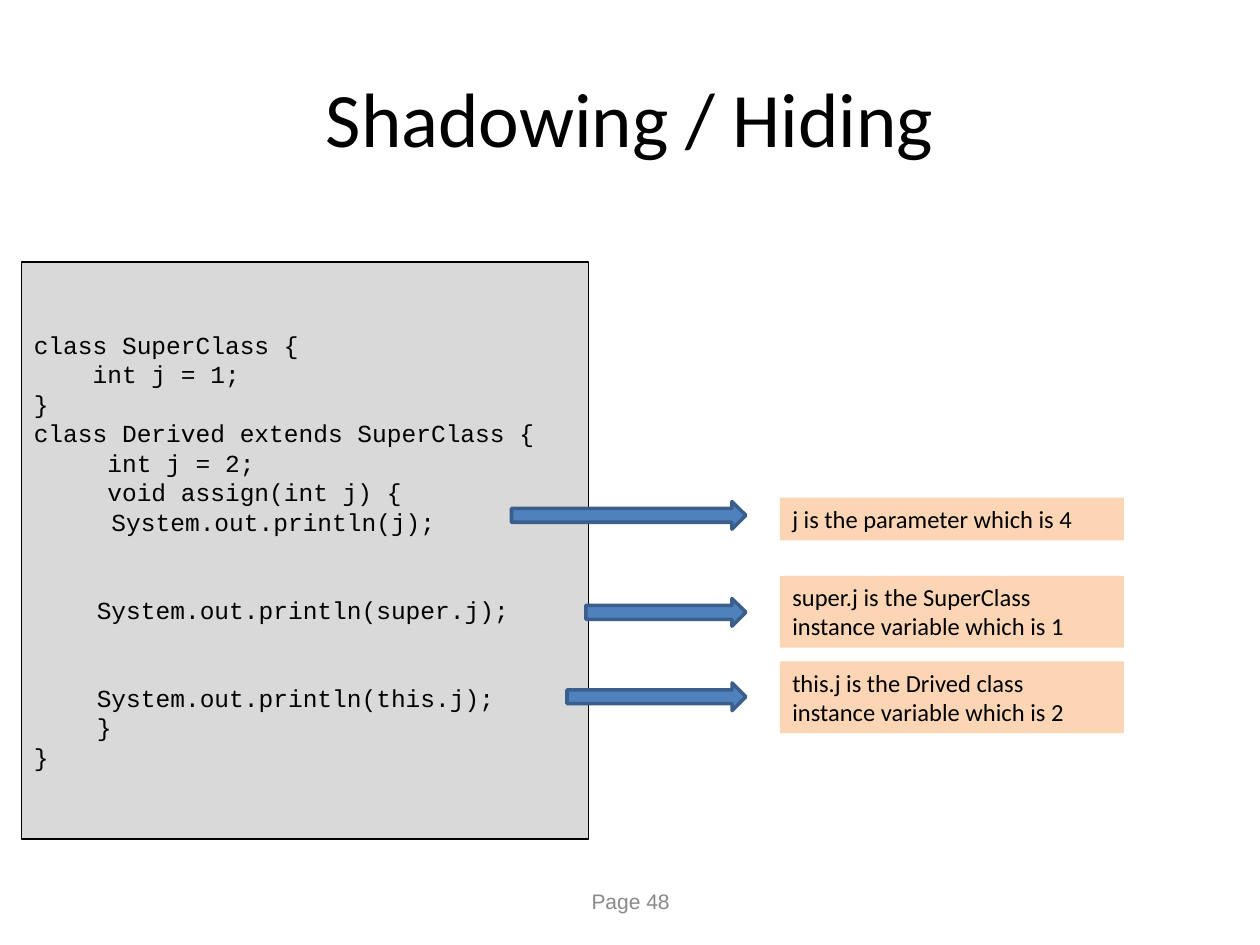
from pptx import Presentation
from pptx.dml.color import RGBColor
from pptx.enum.shapes import MSO_SHAPE
from pptx.enum.text import MSO_ANCHOR, PP_ALIGN
from pptx.util import Inches, Pt

TITLE = "Shadowing / Hiding"
FOOTER = "Page 48"
CODE = [
    "class SuperClass {",
    "    int j = 1;",
    "}",
    "class Derived extends SuperClass {",
    "     int j = 2;",
    "     void assign(int j) {",
    "\t System.out.println(j);",
    "\tSystem.out.println(super.j);",
    "\tSystem.out.println(this.j);",
    "\t}",
    "}",
]
SPACED_LINES = (7, 8)
LINE_PITCH = 16.8

# text, note top, note height, arrow left, arrow top
NOTES = [
    ("j is the parameter which is 4", 3.95, 0.34, 4.06, 3.98),
    ("super.j is the SuperClass instance variable which is 1", 4.57, 0.57, 4.65, 4.75),
    ("this.j is the Drived class instance variable which is 2", 5.25, 0.57, 4.5, 5.42),
]
ARROW_TIP, ARROW_HEIGHT = 5.92, 0.22
NOTE_LEFT, NOTE_WIDTH = 6.19, 2.73


def color(value):
    return RGBColor.from_string(value)


def write(shape, lines, size, font, ink="000000", align=PP_ALIGN.LEFT, anchor=MSO_ANCHOR.MIDDLE):
    frame = shape.text_frame
    frame.word_wrap = True
    frame.vertical_anchor = anchor
    frame.text = "\n".join(lines)
    for paragraph in frame.paragraphs:
        paragraph.alignment = align
        paragraph.font.size = Pt(size)
        paragraph.font.name = font
        paragraph.font.color.rgb = color(ink)
    return frame


def add_text(page, area, *style):
    box = page.shapes.add_textbox(*map(Inches, area))
    write(box, *style)


def add_block(page, kind, area, fill, line=None, width=0):
    shape = page.shapes.add_shape(kind, *map(Inches, area))
    shape.shadow.inherit = False
    shape.fill.solid()
    shape.fill.fore_color.rgb = color(fill)
    if line:
        shape.line.color.rgb = color(line)
        shape.line.width = Pt(width)
    else:
        shape.line.fill.background()
    return shape


def main():
    """Build the shadowing slide: code on the left, arrows to notes on the right."""
    deck = Presentation()
    deck.slide_width, deck.slide_height = Inches(10), Inches(7.5)
    page = deck.slides.add_slide(deck.slide_layouts[6])

    add_text(page, (0.5, 0.3, 9, 1.25), [TITLE], 44, "Calibri", "000000", PP_ALIGN.CENTER)

    code_box = add_block(page, MSO_SHAPE.RECTANGLE, (0.17, 2.08, 4.5, 4.58), "D9D9D9", "000000", 0.75)
    code = write(code_box, CODE, 14, "Courier New")
    for number, paragraph in enumerate(code.paragraphs):
        paragraph.line_spacing = Pt(LINE_PITCH)
        if number in SPACED_LINES:
            paragraph.space_before = Pt(2 * LINE_PITCH)

    for text, top, height, arrow_left, arrow_top in NOTES:
        arrow_area = (arrow_left, arrow_top, ARROW_TIP - arrow_left, ARROW_HEIGHT)
        add_block(page, MSO_SHAPE.RIGHT_ARROW, arrow_area, "4F81BD", "3A5F8C", 2)
        note = add_block(page, MSO_SHAPE.RECTANGLE, (NOTE_LEFT, top, NOTE_WIDTH, height), "FCD5B5")
        write(note, [text], 14, "Calibri", anchor=MSO_ANCHOR.TOP)

    add_text(page, (3.42, 6.95, 3.17, 0.4), [FOOTER], 12, "Arial", "898989", PP_ALIGN.CENTER)
    deck.save("out.pptx")


if __name__ == "__main__":
    main()
